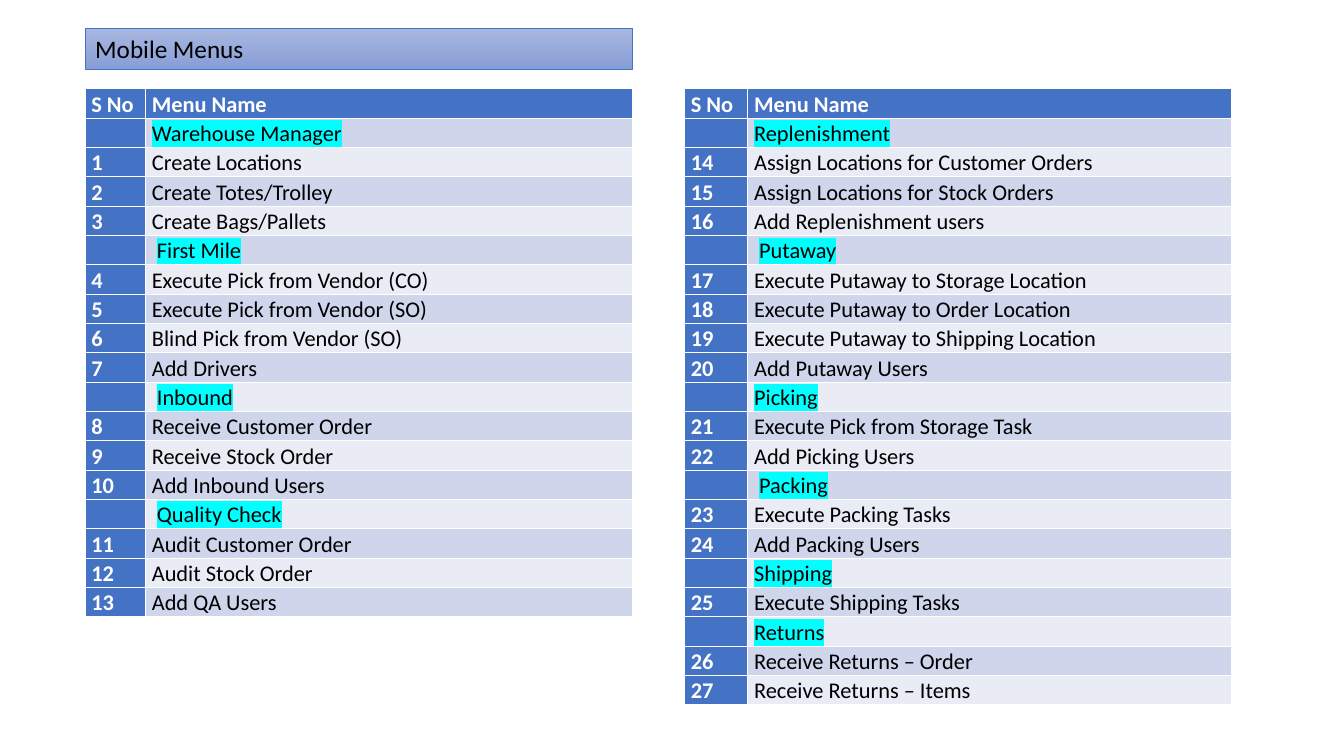
from itertools import count

from lxml.etree import SubElement
from pptx import Presentation
from pptx.dml.color import RGBColor
from pptx.enum.text import MSO_ANCHOR as Anchor, MSO_AUTO_SIZE as AutoSize, PP_ALIGN as Align
from pptx.oxml.ns import qn
from pptx.oxml.xmlchemy import OxmlElement
from pptx.util import Pt

COLORS = {
    "header": "4472C4", "band_dark": "CFD5EA", "band_light": "E9EBF5",
    "title_top": "A8B7DF", "title_bottom": "889ED7",
    "highlight": "00FFFF", "white": "FFFFFF", "black": "000000",
}
FONT = "Calibri"
TABLE_TOP, ROW_HEIGHT, CELL_MARGIN, SECTION_INDENT = 63.5, 19.65, 4.5, 3.6

# Each menu: left edge, column widths, sections of (name, indented, entries)
MENUS = [
    (60.8, (43.2, 347.8), [
        ("Warehouse Manager", False,
         ["Create Locations", "Create Totes/Trolley", "Create Bags/Pallets"]),
        ("First Mile", True,
         ["Execute Pick from Vendor (CO)", "Execute Pick from Vendor (SO)",
          "Blind Pick from Vendor (SO)", "Add Drivers"]),
        ("Inbound", True,
         ["Receive Customer Order", "Receive Stock Order", "Add Inbound Users"]),
        ("Quality Check", True,
         ["Audit Customer Order", "Audit Stock Order", "Add QA Users"]),
    ]),
    (489, (45.2, 345.6), [
        ("Replenishment", False,
         ["Assign Locations for Customer Orders", "Assign Locations for Stock Orders",
          "Add Replenishment users"]),
        ("Putaway", True,
         ["Execute Putaway to Storage Location", "Execute Putaway to Order Location",
          "Execute Putaway to Shipping Location", "Add Putaway Users"]),
        ("Picking", False, ["Execute Pick from Storage Task", "Add Picking Users"]),
        ("Packing", True, ["Execute Packing Tasks", "Add Packing Users"]),
        ("Shipping", False, ["Execute Shipping Tasks"]),
        ("Returns", False, ["Receive Returns – Order", "Receive Returns – Items"]),
    ]),
]


def add_span(para, text, size, color, bold=False):
    span = para.add_run()
    span.text = text
    span.font.size = Pt(size)
    span.font.name = FONT
    span.font.bold = bold
    span.font.color.rgb = RGBColor.from_string(COLORS[color])
    return span


def fill_cell(cell, text, fill, color, bold, anchor):
    """Format a cell and return its text run, or None when it stays empty."""
    cell.fill.solid()
    cell.fill.fore_color.rgb = RGBColor.from_string(COLORS[fill])
    cell.margin_left = cell.margin_right = Pt(CELL_MARGIN)
    cell.margin_top = cell.margin_bottom = 0
    cell.vertical_anchor = anchor
    para = cell.text_frame.paragraphs[0]
    if text:
        para.line_spacing = 1.07
        para.space_after = Pt(8)
        return add_span(para, text, 16, color, bold)
    # An empty cell must not push its row taller than the others
    SubElement(para._p, qn("a:endParaRPr"), sz="1200")
    return None


deck = Presentation()
deck.slide_width, deck.slide_height = Pt(960), Pt(540)
page = deck.slides.add_slide(deck.slide_layouts[5])

title = page.shapes.title
title.left, title.top, title.width, title.height = Pt(60.8), Pt(20.2), Pt(391), Pt(29.1)
title.fill.gradient()
title.fill.gradient_angle = 270
for stop, name in zip(title.fill.gradient_stops, ("title_top", "title_bottom")):
    stop.color.rgb = RGBColor.from_string(COLORS[name])
title.line.color.rgb = RGBColor.from_string(COLORS["header"])
title.line.width = Pt(0.5)
frame = title.text_frame
frame.word_wrap = True
frame.auto_size = AutoSize.NONE
frame.vertical_anchor = Anchor.MIDDLE
frame.paragraphs[0].alignment = Align.LEFT
add_span(frame.paragraphs[0], "Mobile Menus", 18, "black")

numbers = count(1)
for left, widths, sections in MENUS:
    rows = []
    for name, indented, entries in sections:
        rows.append(("", name, True, indented))
        rows += [(str(next(numbers)), entry, False, False) for entry in entries]

    row_count = len(rows) + 1
    table = page.shapes.add_table(row_count, 2, Pt(left), Pt(TABLE_TOP), Pt(sum(widths)),
                                  Pt(ROW_HEIGHT * row_count)).table
    table.first_col = True
    for column, width in zip(table.columns, widths):
        column.width = Pt(width)
    for row in table.rows:
        row.height = Pt(ROW_HEIGHT)

    for column, heading in enumerate(("S No", "Menu Name")):
        fill_cell(table.cell(0, column), heading, "header", "white", True, Anchor.TOP)
    for index, (number, name, is_section, indented) in enumerate(rows, start=1):
        band = "band_dark" if index % 2 else "band_light"
        fill_cell(table.cell(index, 0), number, "header", "white", True, Anchor.BOTTOM)
        name_cell = table.cell(index, 1)
        span = fill_cell(name_cell, name, band, "black", False, Anchor.BOTTOM)
        if indented:
            name_cell.margin_left = Pt(CELL_MARGIN + SECTION_INDENT)
        if is_section:
            highlight = OxmlElement("a:highlight")
            SubElement(highlight, qn("a:srgbClr"), val=COLORS["highlight"])
            span._r.rPr.find(qn("a:solidFill")).addnext(highlight)

deck.save("out.pptx")
